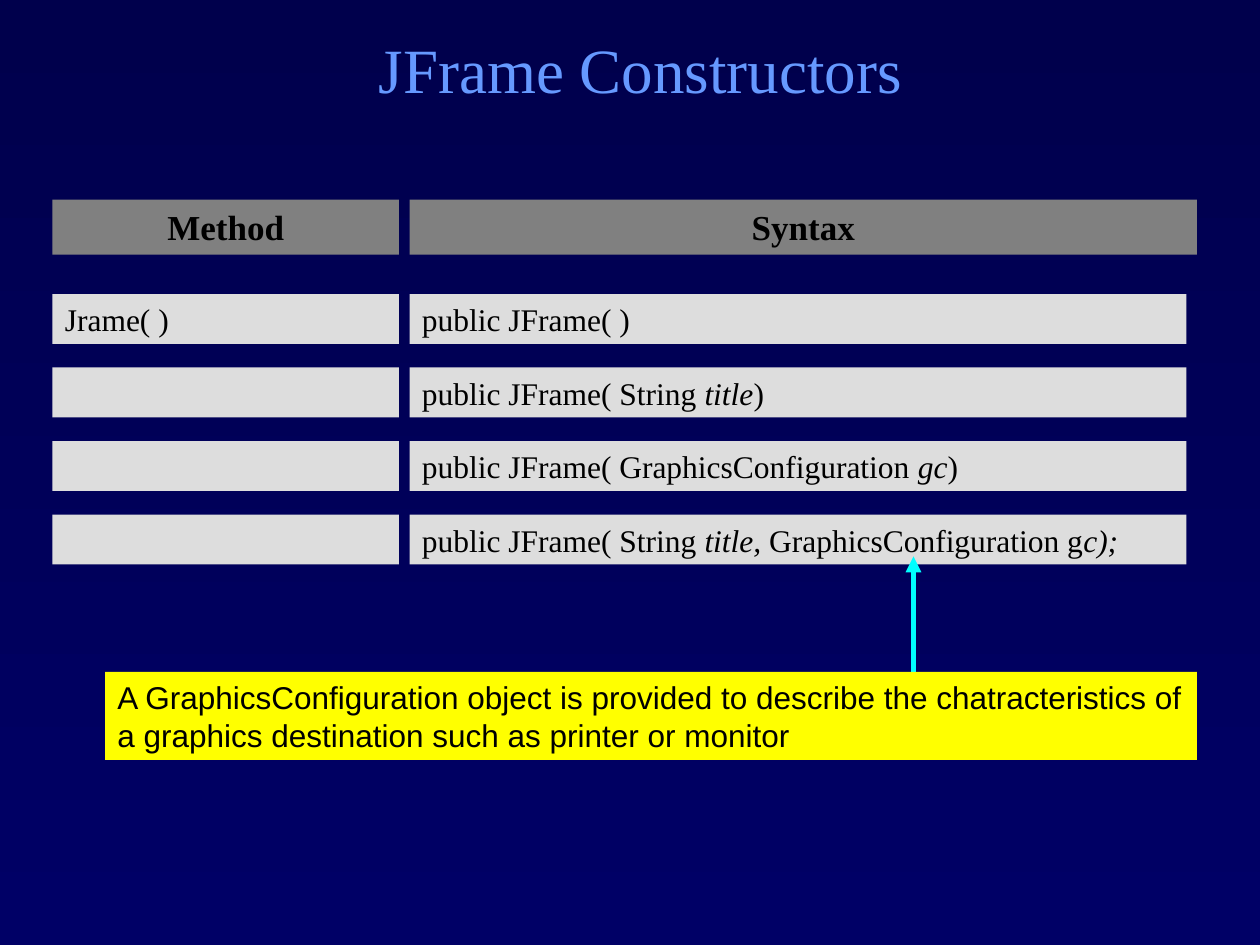
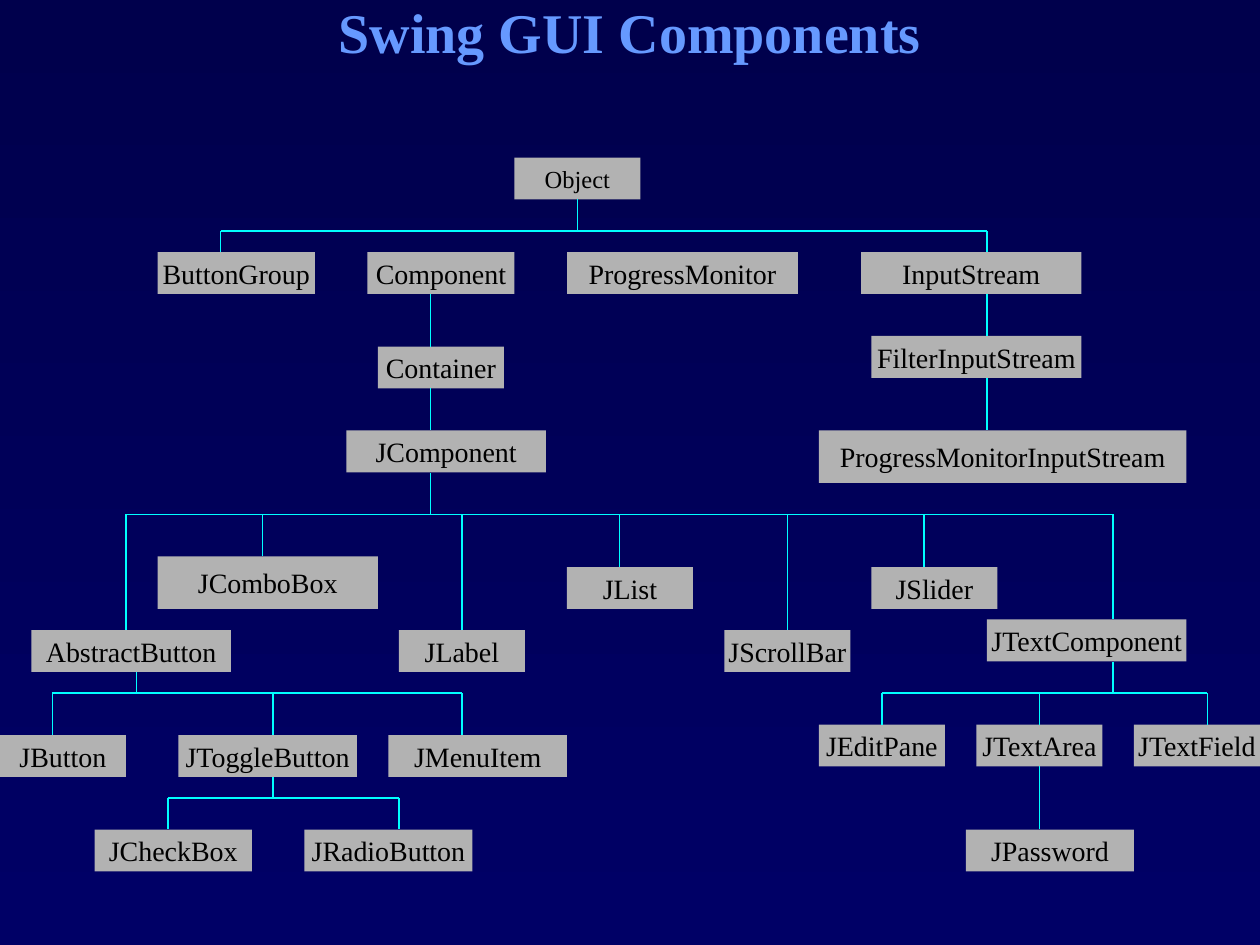
import lxml.etree
import pptx
import pptx.dml.color
import pptx.enum.shapes
import pptx.enum.text
import pptx.oxml.ns
import pptx.util

PX = 9525  # EMU in one px, 96 px to the inch
COLORS = {
    "top": "00004C", "bottom": "000066", "title": "6699FF", "text": "000000",
    "header": "808080", "row": "DDDDDD", "note": "FFFF00", "node": "B2B2B2",
    "line": "00FFFF",
}
SERIF, SANS = "Times New Roman", "Arial"
ALIGN = pptx.enum.text.PP_ALIGN
ANCHOR = pptx.enum.text.MSO_ANCHOR
AUTO_SIZE = pptx.enum.text.MSO_AUTO_SIZE


def color(name):
    return pptx.dml.color.RGBColor.from_string(COLORS[name])


def write(frame, text, *, size=18, font=SERIF, ink="text", bold=False,
          align=ALIGN.LEFT, anchor=ANCHOR.TOP, wrap=True, fit=AUTO_SIZE.NONE):
    """Write one paragraph; a list of texts alternates roman and italic."""
    frame.word_wrap = wrap
    frame.auto_size = fit
    frame.vertical_anchor = anchor
    paragraph = frame.paragraphs[0]
    paragraph.alignment = align
    for index, part in enumerate([text] if isinstance(text, str) else text):
        run = paragraph.add_run()
        run.text = part
        run.font.name = font
        run.font.size = pptx.util.Pt(size)
        run.font.bold = bold
        run.font.italic = index % 2 == 1
        run.font.color.rgb = color(ink)


class Deck:
    def __init__(self):
        self.presentation = pptx.Presentation()
        self.presentation.slide_width = 960 * PX
        self.presentation.slide_height = 720 * PX
        fill = self.presentation.slide_master.background.fill
        fill.gradient()
        fill.gradient_angle = 270
        for stop, name in zip(fill.gradient_stops, ("top", "bottom")):
            stop.color.rgb = color(name)

    def start_slide(self, title, left, top, width, height, **text_format):
        layout = self.presentation.slide_layouts.get_by_name("Title Only")
        self.slide = self.presentation.slides.add_slide(layout)
        self.boxes = []
        shape = self.slide.shapes.title
        shape.left, shape.top = left * PX, top * PX
        shape.width, shape.height = width * PX, height * PX
        write(shape.text_frame, title, ink="title", align=ALIGN.CENTER,
              anchor=ANCHOR.MIDDLE, **text_format)

    def box(self, left, top, width, height, fill, text="", **text_format):
        shape = self.slide.shapes.add_shape(
            pptx.enum.shapes.MSO_SHAPE.RECTANGLE,
            left * PX, top * PX, width * PX, height * PX)
        shape.shadow.inherit = False
        shape.fill.solid()
        shape.fill.fore_color.rgb = color(fill)
        shape.line.fill.background()
        if text:
            write(shape.text_frame, text, **text_format)
        self.boxes.append(shape)
        return shape

    def line(self, x1, y1, x2, y2, width=0.75, arrow=False):
        """Draw a line, joined to any box whose top or bottom middle it meets."""
        connector = self.slide.shapes.add_connector(
            pptx.enum.shapes.MSO_CONNECTOR.STRAIGHT,
            x1 * PX, y1 * PX, x2 * PX, y2 * PX)
        connector.line.color.rgb = color("line")
        connector.line.width = pptx.util.Pt(width)
        properties = connector.element.spPr
        lxml.etree.SubElement(properties, pptx.oxml.ns.qn("a:effectLst"))
        if arrow:
            lxml.etree.SubElement(connector.line._get_or_add_ln(),
                                  pptx.oxml.ns.qn("a:tailEnd"), type="triangle")
        for x, y, join in ((x1, y1, connector.begin_connect),
                           (x2, y2, connector.end_connect)):
            for box in self.boxes:
                if x * PX == box.left + box.width // 2:
                    if y * PX == box.top:
                        join(box, 0)
                    elif y * PX == box.top + box.height:
                        join(box, 2)


SYNTAX_ROWS = [
    ("Jrame( )", ["public JFrame( )"]),
    ("", ["public JFrame( String ", "title", ")"]),
    ("", ["public JFrame( GraphicsConfiguration ", "gc", ")"]),
    ("", ["public JFrame( String ", "title, ", "GraphicsConfiguration g", "c);"]),
]


def build_constructors(deck):
    deck.start_slide("JFrame Constructors", 80, 24, 816, 56, size=36)
    method_left, method_width, syntax_left = 40, 264, 312
    fit = AUTO_SIZE.SHAPE_TO_FIT_TEXT
    for left, width, heading in ((method_left, method_width, "Method"),
                                 (syntax_left, 600, "Syntax")):
        deck.box(left, 152, width, 42, "header", heading, size=20, bold=True,
                 align=ALIGN.CENTER, fit=fit)
    for index, (method, syntax) in enumerate(SYNTAX_ROWS):
        top = 224 + 56 * index
        deck.box(method_left, top, method_width, 38, "row", method, fit=fit)
        deck.box(syntax_left, top, 592, 38, "row", syntax, fit=fit)
    deck.line(696, 512, 696, 424, width=3, arrow=True)
    deck.box(80, 512, 832, 67, "note",
             "A GraphicsConfiguration object is provided to describe the "
             "chatracteristics of a graphics destination such as printer or monitor",
             font=SANS, fit=fit)


# class name: left, top, width and, where it is not the usual one, height
CLASSES = {
    "Object": (392, 120, 96),
    "ButtonGroup": (120, 192, 120),
    "Component": (280, 192, 112),
    "ProgressMonitor": (432, 192, 176),
    "InputStream": (656, 192, 168),
    "FilterInputStream": (664, 256, 160),
    "ProgressMonitorInputStream": (624, 328, 280, 40),
    "Container": (288, 264, 96),
    "JComponent": (264, 328, 152),
    "JComboBox": (120, 424, 168, 40),
    "JList": (432, 432, 96),
    "JSlider": (664, 432, 96),
    "AbstractButton": (24, 480, 152),
    "JLabel": (304, 480, 96),
    "JScrollBar": (552, 480, 96),
    "JTextComponent": (752, 472, 152),
    "JButton": (0, 560, 96),
    "JToggleButton": (136, 560, 136),
    "JMenuItem": (296, 560, 136),
    "JEditPane": (624, 552, 96),
    "JTextArea": (744, 552, 96),
    "JTextField": (864, 552, 96),
    "JCheckBox": (72, 632, 120),
    "JRadioButton": (232, 632, 128),
    "JPassword": (736, 632, 128),
}
# parent, x of its stem, y of the rail, x of the drop to each child
FAMILIES = [
    ("Object", 440, 176, {"ButtonGroup": 168, "InputStream": 752}),
    ("JComponent", 328, 392, {
        "AbstractButton": 96, "JComboBox": 200, "JLabel": 352, "JList": 472,
        "JScrollBar": 600, "JSlider": 704, "JTextComponent": 848}),
    ("AbstractButton", 104, 528,
     {"JButton": 40, "JToggleButton": 208, "JMenuItem": 352}),
    ("JToggleButton", 208, 608, {"JCheckBox": 128, "JRadioButton": 304}),
    ("JTextComponent", 848, 528,
     {"JEditPane": 672, "JTextArea": 792, "JTextField": 920}),
]
# parent, only child, x of the line between them
SINGLE_LINKS = [
    ("InputStream", "FilterInputStream", 752),
    ("FilterInputStream", "ProgressMonitorInputStream", 752),
    ("Component", "Container", 328),
    ("Container", "JComponent", 328),
    ("JTextArea", "JPassword", 792),
]


def build_components(deck):
    deck.start_slide("Swing GUI Components", 72, 0, 816, 48, size=32, bold=True)
    tops, bottoms = {}, {}
    for name, (left, top, width, *rest) in CLASSES.items():
        height = rest[0] if rest else 32
        deck.box(left, top, width, height, "node", name,
                 size=14 if name == "Object" else 16,
                 align=ALIGN.CENTER, anchor=ANCHOR.MIDDLE, wrap=False)
        tops[name], bottoms[name] = top, top + height
    for parent, stem, rail, drops in FAMILIES:
        deck.line(stem, bottoms[parent], stem, rail)
        deck.line(min(drops.values()), rail, max(drops.values()), rail)
        for child, x in drops.items():
            deck.line(x, rail, x, tops[child])
    for parent, child, x in SINGLE_LINKS:
        deck.line(x, bottoms[parent], x, tops[child])


def main():
    deck = Deck()
    build_constructors(deck)
    build_components(deck)
    deck.presentation.save("out.pptx")


if __name__ == "__main__":
    main()
